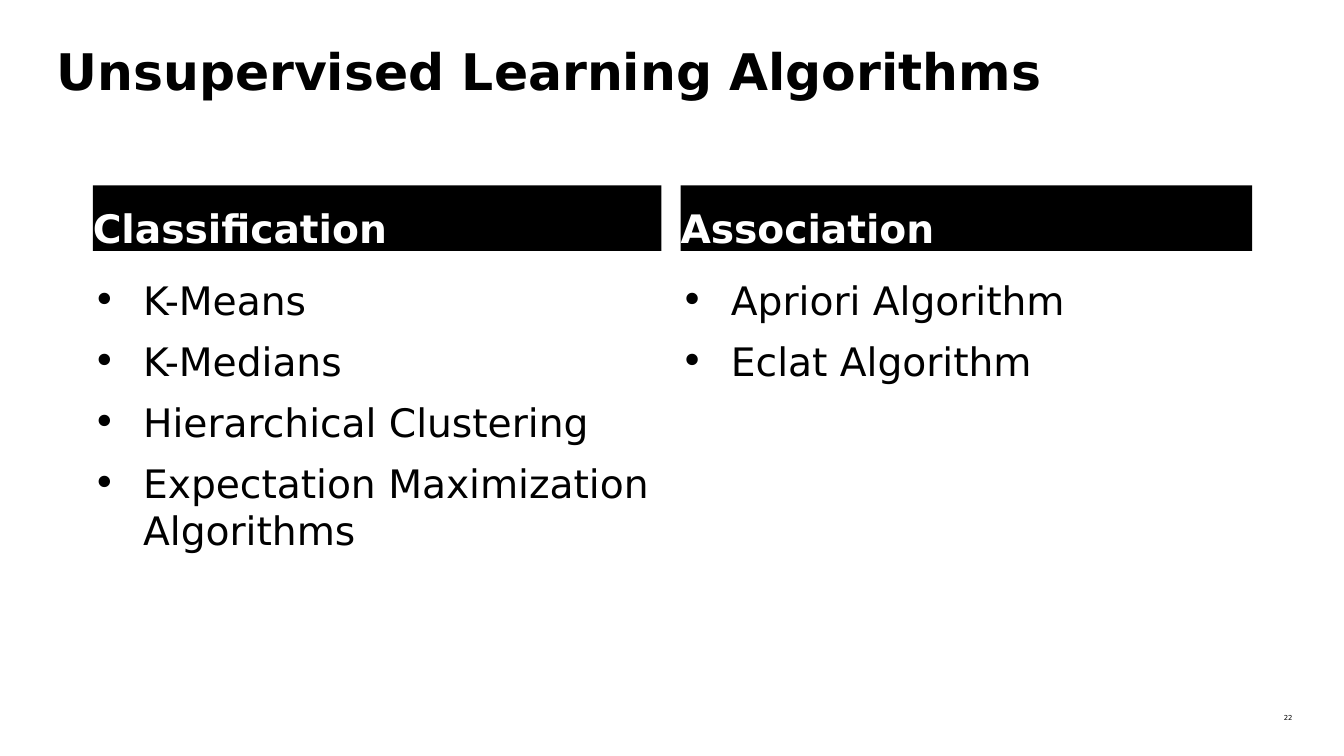
from pptx import Presentation
from pptx.dml.color import RGBColor
from pptx.enum.text import MSO_ANCHOR, MSO_AUTO_SIZE, PP_ALIGN
from pptx.oxml.ns import qn
from pptx.util import Inches, Pt
from lxml import etree

LEFT, RIGHT = PP_ALIGN.LEFT, PP_ALIGN.RIGHT
TOP, BOTTOM = MSO_ANCHOR.TOP, MSO_ANCHOR.BOTTOM
NO_FIT = MSO_AUTO_SIZE.NONE

# Content
TITLE = "Unsupervised Learning Algorithms"
PAGE = "22"
COLUMNS = [
    ("Classification", ["K-Means", "K-Medians", "Hierarchical Clustering",
                        "Expectation Maximization Algorithms"]),
    ("Association", ["Apriori Algorithm", "Eclat Algorithm"]),
]

# Theme and layout
THEME = {
    "font": "DejaVu Sans",
    "ink": RGBColor(0, 0, 0),
    "paper": RGBColor(255, 255, 255),
    "title": 36, "body": 28, "page": 4.9,
}
SPANS = [(0.92, 5.64), (6.75, 5.67)]  # left and width of each column
HEAD_TOP, HEAD_H = 1.84, 0.65
LIST_TOP, LIST_H = 2.74, 4.03
INDENT = 0.5


def place(shape, left, top, width, height):
    shape.left, shape.top = Inches(left), Inches(top)
    shape.width, shape.height = Inches(width), Inches(height)


def write(shape, text, size, color="ink", bold=False, align=LEFT,
          anchor=TOP, before=0, after=0):
    frame = shape.text_frame
    frame.text = text
    frame.word_wrap = True
    frame.auto_size = NO_FIT
    frame.vertical_anchor = anchor
    frame.margin_left = frame.margin_right = 0
    frame.margin_top = frame.margin_bottom = 0
    for para in frame.paragraphs:
        para.alignment = align
        para.line_spacing = 1.0
        para.space_before, para.space_after = Pt(before), Pt(after)
        for run in para.runs:
            font = run.font
            font.name, font.size = THEME["font"], Pt(THEME[size])
            font.bold, font.color.rgb = bold, THEME[color]


def add_bullets(shape):
    for para in shape.text_frame.paragraphs:
        props = para._p.get_or_add_pPr()
        props.set("marL", str(Inches(INDENT)))
        props.set("indent", str(-Inches(INDENT)))
        face = etree.SubElement(props, qn("a:buFont"))
        face.set("typeface", THEME["font"])
        mark = etree.SubElement(props, qn("a:buChar"))
        mark.set("char", "•")


def main():
    deck = Presentation()
    deck.slide_width, deck.slide_height = Inches(13.33), Inches(7.5)
    slide = deck.slides.add_slide(deck.slide_layouts.get_by_name("Comparison"))

    # Title
    title = slide.shapes.title
    place(title, 0.56, 0.4, 11.86, 1.23)
    write(title, TITLE, "title", bold=True, before=6)

    # Columns: a heading bar above a bulleted list
    bodies = list(slide.placeholders)[1:]
    pairs = zip(bodies[::2], bodies[1::2])
    for (name, items), (left, width), (head, body) in zip(COLUMNS, SPANS, pairs):
        place(head, left, HEAD_TOP, width, HEAD_H)
        head.fill.solid()
        head.fill.fore_color.rgb = THEME["ink"]
        write(head, name, "body", "paper", bold=True, anchor=BOTTOM, after=10)
        place(body, left, LIST_TOP, width, LIST_H)
        write(body, "\n".join(items), "body", after=10)
        add_bullets(body)

    # Page number
    page = slide.shapes.add_textbox(0, 0, 0, 0)
    place(page, 12.48, 7.08, 0.34, 0.08)
    write(page, PAGE, "page", align=RIGHT, before=6)

    deck.save("out.pptx")


if __name__ == "__main__":
    main()
